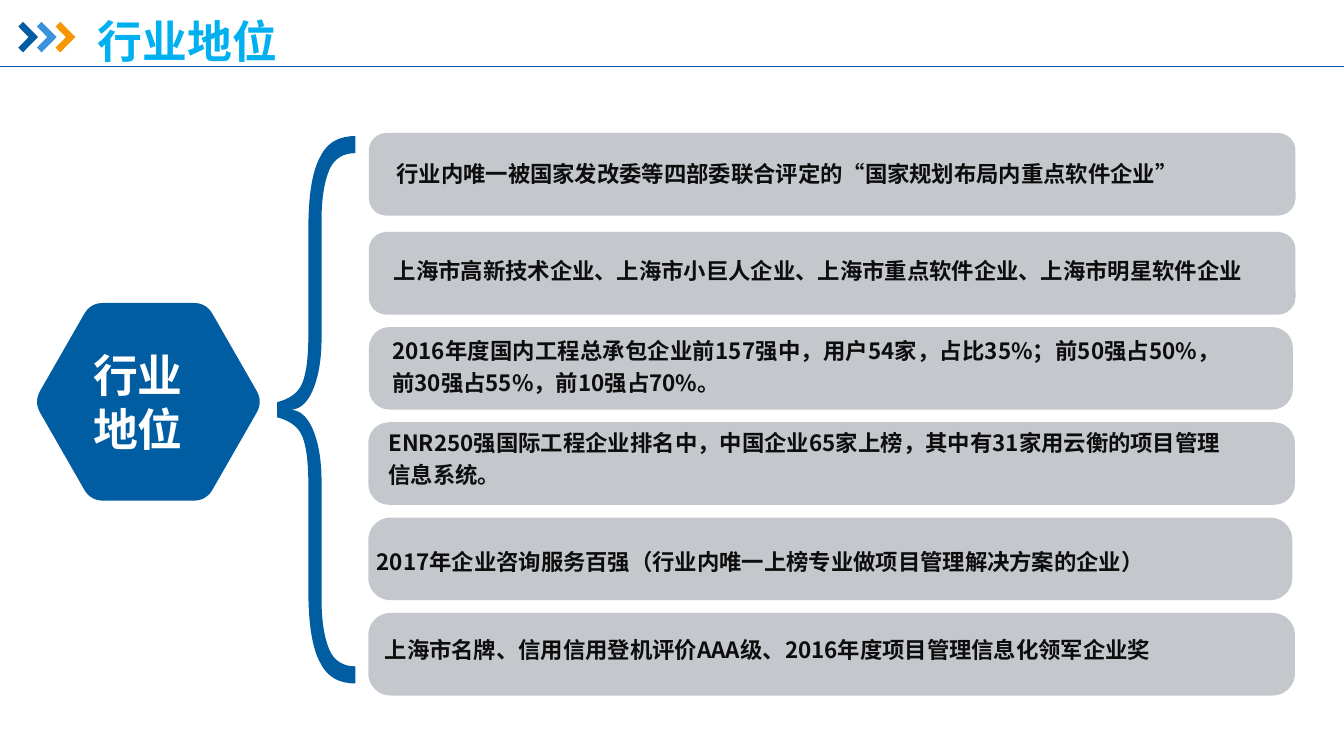
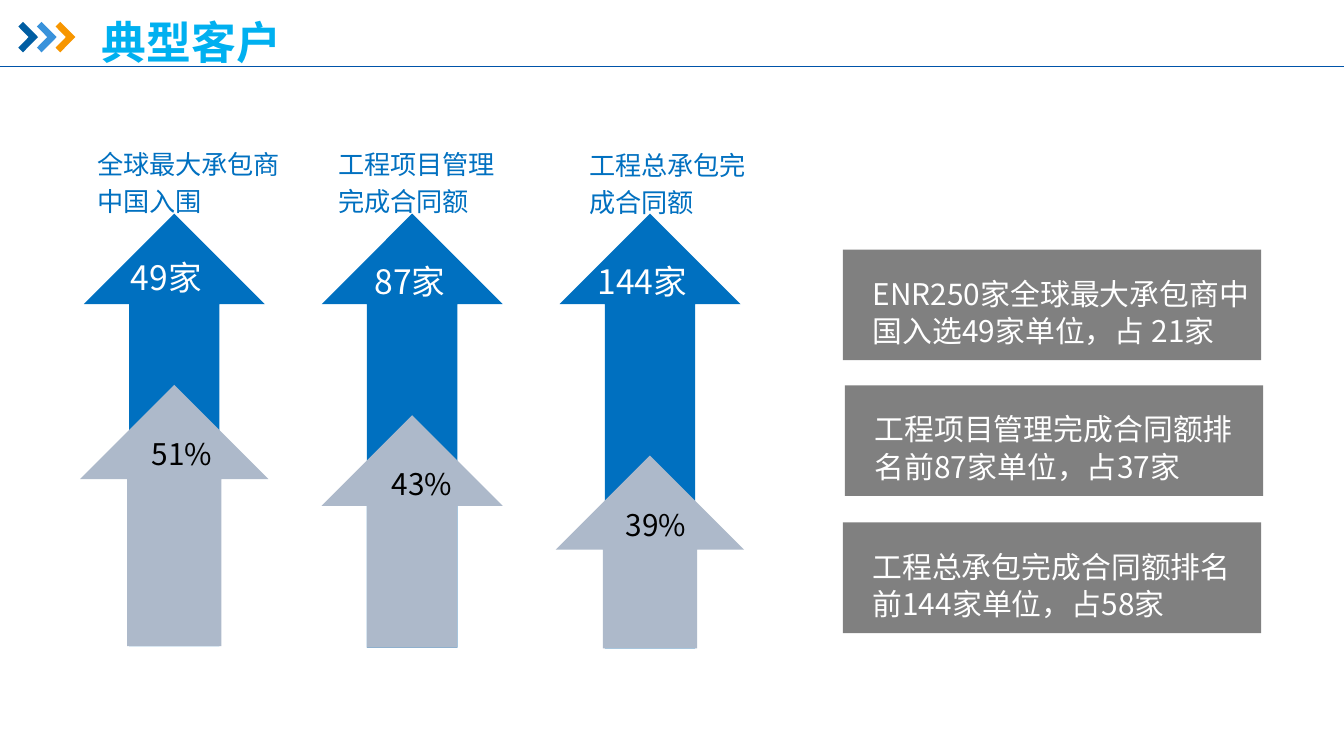
"""Build two company slides: industry position and typical clients."""
import lxml.etree
import pptx
import pptx.dml.color
import pptx.enum.shapes
import pptx.enum.text
import pptx.oxml.ns
import pptx.util

Pt = pptx.util.Pt
SHAPE = pptx.enum.shapes.MSO_SHAPE
ALIGN = pptx.enum.text.PP_ALIGN
qn = pptx.oxml.ns.qn

FONT = "Noto Sans CJK SC"
COLORS = {
    "navy": "005DA2", "sky": "3992DB", "orange": "F79600", "rule": "0054A9",
    "title": "00B0F0", "card": "C4C7CB", "ink": "0D0D0D", "white": "FFFFFF",
    "blue": "0070C0", "steel": "ADB9CA", "gray": "808080", "black": "000000",
}

CHEVRON = [(13.1, 19), (16.4, 15.6), (27.2, 26.5), (16.4, 37.4), (13.1, 34), (20.5, 26.5)]
CHEVRON_COLORS = ["navy", "sky", "orange"]
CHEVRON_STEP = 13.3

# text, card (left, top, width), corner adjustment, text (left, top, width)
CARDS = [
    ("行业内唯一被国家发改委等四部委联合评定的“国家规划布局内重点软件企业”",
     (263.5, 95, 661.9), 0.21, (283.2, 110.6, 606)),
    ("上海市高新技术企业、上海市小巨人企业、上海市重点软件企业、上海市明星软件企业",
     (263.5, 165.7, 661.9), 0.21, (281.3, 179.6, 655)),
    ("2016年度国内工程总承包企业前157强中，用户54家，占比35%；前50强占50%，前30强占55%，前10强占70%。",
     (263.5, 233.6, 660), 0.25, (280.3, 236.9, 591)),
    ("ENR250强国际工程企业排名中，中国企业65家上榜，其中有31家用云衡的项目管理信息系统。",
     (263.1, 301.6, 661.9), 0.25, (277.5, 302.8, 594)),
    ("2017年企业咨询服务百强（行业内唯一上榜专业做项目管理解决方案的企业）",
     (263.1, 369.7, 660), 0.27, (269.1, 387.6, 624)),
    ("上海市名牌、信用信用登机评价AAA级、2016年度项目管理信息化领军企业奖",
     (263.1, 437.8, 661.9), 0.27, (274.8, 450.6, 624)),
]
CARD_H = 59

HEX_CENTER, HEX_HALF_W, HEX_HALF_TOP, HEX_HALF_H, HEX_CUT = (106, 287), 81.8, 41.3, 70.6, 9.1

BRACE_MIDDLE = 292.7
BRACE_UPPER = [
    [(198, 287.3)],
    [(206.6, 285.1), (213.1, 280.8), (216, 273.6)],
    [(218.9, 266.4), (220.3, 254.9), (220.3, 239)],
    [(220.3, 164.2)],
    [(220.3, 139), (223.2, 121.7), (229, 111.6)],
    [(234, 101.5), (242.6, 97.2), (253.9, 97.2)],
    [(253.9, 109.4)],
    [(245.5, 109.4), (239, 113), (235.4, 121)],
    [(231.8, 129.6), (229.7, 141.1), (229.7, 157.7)],
    [(229.7, 242.6)],
    [(229.7, 265.7), (223.2, 292.7), (207.4, 292.7)],
]

ARROWS = [
    dict(label="全球最大承包商中国入围", label_at=(62.6, 97.9, 146.2), count="49家", count_at=(86.4, 180, 75.6),
         share="51%", share_left=101.3, top=275, width=134.6, bottom=461.6),
    dict(label="工程项目管理完成合同额", label_at=(234.7, 97.9, 136.8), count="87家", count_at=(260.4, 182.9, 75.6),
         share="43%", share_left=272.6, top=296.6, width=129.4, bottom=462.5),
    dict(label="工程总承包完成合同额", label_at=(414, 98.6, 136.8), count="144家", count_at=(419.8, 182.9, 100),
         share="39%", share_left=440, top=325.4, width=134.6, bottom=463.1),
]
ARROW_CENTER, ARROW_STEP, ARROW_W, ARROW_TOP = 124.5, 169.9, 129.3, 152.6

# text, left, top, right inset
NOTES = [
    ("ENR250家全球最大承包商中国入选49家单位，占 21家", 602, 178.3, 0),
    ("工程项目管理完成合同额排名前87家单位，占37家", 603.5, 275.2, 18),
    ("工程总承包完成合同额排名前144家单位，占58家", 602, 373.2, 18),
]
NOTE_W, NOTE_H = 298.8, 79


def rgb(name):
    return pptx.dml.color.RGBColor.from_string(COLORS[name])


def paint(sp, color):
    sp.shadow.inherit = False
    sp.fill.solid()
    sp.fill.fore_color.rgb = rgb(color)
    sp.line.fill.background()
    return sp


def write(sp, text, size, color, bold=False, align=ALIGN.LEFT, spacing=None, insets=(0, 0, 0, 0)):
    tf = sp.text_frame
    tf.text = text
    tf.word_wrap = True
    tf.auto_size = pptx.enum.text.MSO_AUTO_SIZE.NONE
    tf.vertical_anchor = pptx.enum.text.MSO_ANCHOR.TOP
    tf.margin_left, tf.margin_top, tf.margin_right, tf.margin_bottom = map(Pt, insets)
    for p in tf.paragraphs:
        p.alignment = align
        p.line_spacing = spacing
        for r in p.runs:
            r.font.size = Pt(size)
            r.font.bold = bold
            r.font.color.rgb = rgb(color)
            r.font.name = FONT
            ea = lxml.etree.SubElement(r.font._element, qn("a:ea"))
            ea.set("typeface", FONT)


def add_text(s, box, text, size, color, **options):
    write(s.shapes.add_textbox(*map(Pt, box)), text, size, color, **options)


def add_box(s, kind, box, color):
    return paint(s.shapes.add_shape(kind, *map(Pt, box)), color)


def add_outline(s, parts, color):
    """Draw parts of one point as lines and parts of three points as curves."""
    points = [(Pt(x), Pt(y)) for part in parts for x, y in part]
    builder = s.shapes.build_freeform(*points[0])
    builder.add_line_segments(points[1:], close=True)
    sp = builder.convert_to_shape()
    lines = iter(list(sp.element.iter(qn("a:lnTo"))))
    for part in parts[1:]:
        first, *others = [next(lines) for _ in part]
        if others:
            first.tag = qn("a:cubicBezTo")
        for line in others:
            first.append(line[0])
            line.getparent().remove(line)
    return paint(sp, color)


def mirror(parts, middle):
    points = [(x, 2 * middle - y) for part in parts for x, y in part][::-1]
    result, start = [], 1
    for part in reversed(parts[1:]):
        result.append(points[start:start + len(part)])
        start += len(part)
    return result


def toward(a, b, k):
    return a[0] + k * (b[0] - a[0]), a[1] + k * (b[1] - a[1])


def round_corners(corners, cut):
    parts = []
    for i, v in enumerate(corners):
        a, b = [toward(v, n, cut / ((n[0] - v[0]) ** 2 + (n[1] - v[1]) ** 2) ** 0.5)
                for n in (corners[i - 1], corners[(i + 1) % len(corners)])]
        parts += [[a], [toward(a, v, 2 / 3), toward(b, v, 2 / 3), b]]
    return parts


def decorate_layout(layout, s):
    parts = [add_outline(s, [[(x + i * CHEVRON_STEP, y)] for x, y in CHEVRON], color)
             for i, color in enumerate(CHEVRON_COLORS)]
    rule = s.shapes.add_connector(pptx.enum.shapes.MSO_CONNECTOR.STRAIGHT, 0, Pt(47.5), Pt(960), Pt(47.5))
    rule.line.color.rgb = rgb("rule")
    rule.line.width = Pt(0.5)
    lxml.etree.SubElement(rule.element.spPr, qn("a:effectLst"))
    for part in parts + [rule]:
        layout.shapes.element.append(part.element)


def add_slide(prs, layout, title, left, top):
    s = prs.slides.add_slide(layout)
    sp = s.shapes.title
    sp.left, sp.top, sp.width, sp.height = map(Pt, (left, top, 478, 34))
    write(sp, title, 32, "title", bold=True, insets=(7.2, 4.7, 7.2, 3.6))
    return s


def fill_position(s):
    cx, cy = HEX_CENTER
    corners = [(cx + dx, cy + dy) for dx, dy in (
        (-HEX_HALF_W, 0), (-HEX_HALF_TOP, -HEX_HALF_H), (HEX_HALF_TOP, -HEX_HALF_H),
        (HEX_HALF_W, 0), (HEX_HALF_TOP, HEX_HALF_H), (-HEX_HALF_TOP, HEX_HALF_H))]
    add_outline(s, round_corners(corners, HEX_CUT), "navy")
    add_text(s, (34.9, 248.2, 127.4, 77.8), "行业\n地位", 32, "white", bold=True, align=ALIGN.CENTER)
    add_outline(s, BRACE_UPPER + mirror(BRACE_UPPER, BRACE_MIDDLE), "navy")

    for text, box, corner, text_at in CARDS:
        card = add_box(s, SHAPE.ROUNDED_RECTANGLE, (*box, CARD_H), "card")
        card.adjustments[0] = corner
        add_text(s, (*text_at, 46), text, 16, "ink", bold=True, align=ALIGN.JUSTIFY, spacing=1.2)


def fill_clients(s):
    insets = (7.2, 3.6, 7.2, 3.6)
    for i, a in enumerate(ARROWS):
        center = ARROW_CENTER + i * ARROW_STEP
        for width, top, color in ((ARROW_W, ARROW_TOP, "blue"), (a["width"], a["top"], "steel")):
            add_box(s, SHAPE.UP_ARROW, (center - width / 2, top, width, a["bottom"] - top), color)
        add_text(s, (*a["label_at"], 62), a["label"], 18.67, "blue", spacing=Pt(26.7), insets=insets)
        add_text(s, (*a["count_at"], 36), a["count"], 24, "white", insets=insets)
        add_text(s, (a["share_left"], a["top"] + 32.8, 66, 33), a["share"], 21.33, "black", insets=insets)

    for text, left, top, right_inset in NOTES:
        note = add_box(s, SHAPE.RECTANGLE, (left, top, NOTE_W, NOTE_H), "gray")
        write(note, text, 21.33, "white", spacing=Pt(26.7), insets=(21.2, 17.3, right_inset, 0))


def main():
    prs = pptx.Presentation()
    prs.slide_width, prs.slide_height = Pt(960), Pt(540)
    layout = prs.slide_layouts[5]
    s = add_slide(prs, layout, "行业地位", 62.6, 5)
    decorate_layout(layout, s)
    fill_position(s)
    fill_clients(add_slide(prs, layout, "典型客户", 65.4, 5.6))
    prs.save("out.pptx")


if __name__ == "__main__":
    main()
